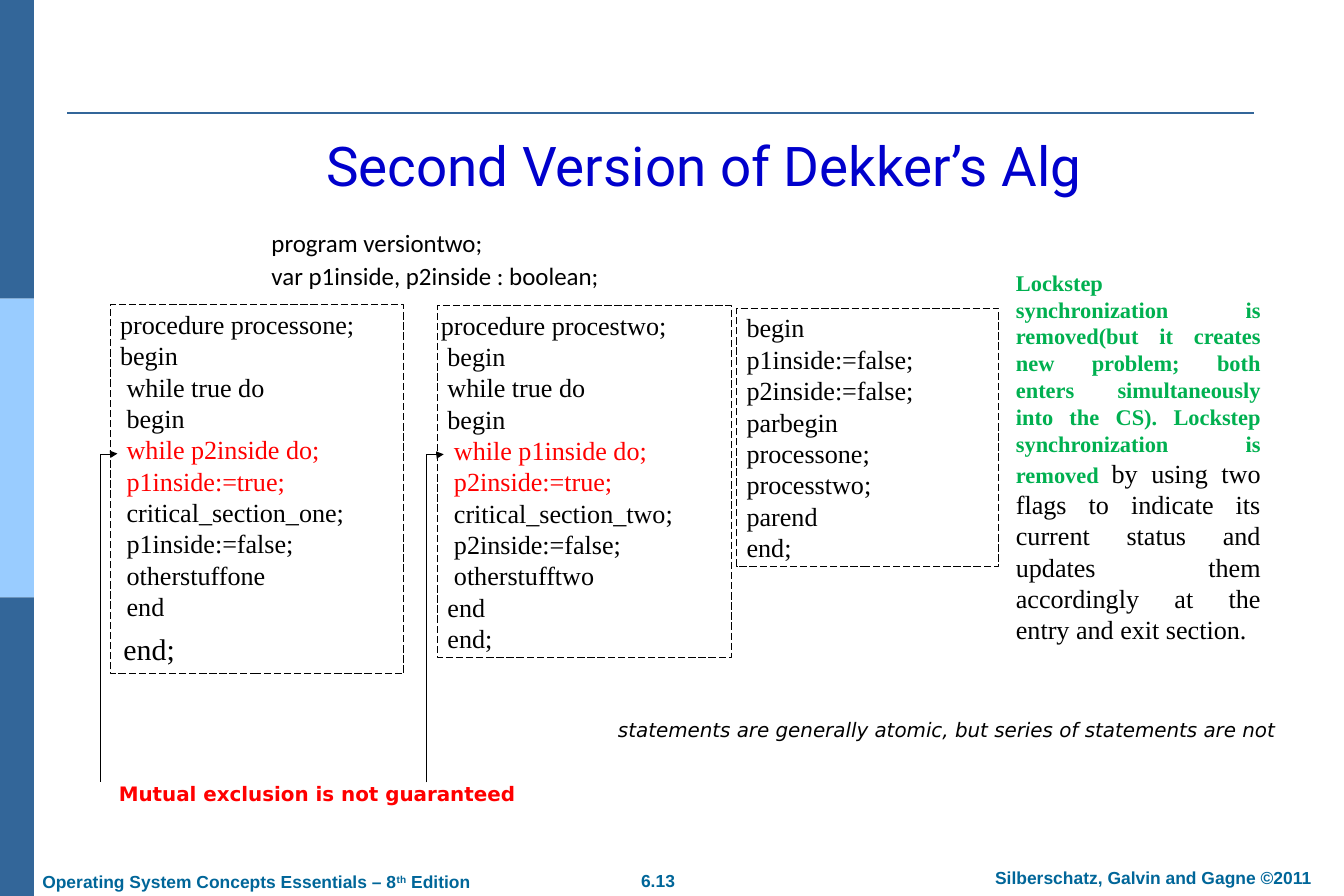
"""Build the slide on the second version of Dekker's algorithm."""
from dataclasses import dataclass

from lxml.etree import SubElement
from pptx import Presentation
from pptx.dml.color import RGBColor
from pptx.enum.dml import MSO_LINE
from pptx.enum.shapes import MSO_CONNECTOR, MSO_SHAPE
from pptx.enum.text import MSO_ANCHOR, PP_ALIGN
from pptx.oxml.ns import qn
from pptx.util import Cm, Pt


@dataclass(frozen=True)
class Theme:
    """Hold the colours and the text styles: face, size, colour, bold, italic."""
    dark: str = "336699"
    light: str = "99CCFF"
    black: str = "000000"
    red: str = "FF0000"
    title: tuple = ("Roboto", 44, "0000CC", False, False)
    head: tuple = ("Calibri", 20, "000000", False, False)
    code: tuple = ("Times New Roman", 21, "000000", False, False)
    alert: tuple = ("Times New Roman", 21, "FF0000", False, False)
    close: tuple = ("Times New Roman", 24, "000000", False, False)
    key: tuple = ("Times New Roman", 18, "00B050", True, False)
    claim: tuple = ("DejaVu Sans", 16, "FF0000", True, False)
    hint: tuple = ("DejaVu Sans", 16, "000000", False, True)
    foot: tuple = ("Arial", 14, "006699", True, False)


def style(run, look):
    """Give a run its face, size, colour and weight."""
    font = run.font
    font.name, size, tint, font.bold, font.italic = look
    font.size = Pt(size)
    font.color.rgb = RGBColor.from_string(tint)


def write(shape, text, look, side, edge, align=PP_ALIGN.LEFT):
    """Set the text of a shape, turning leading spaces into indents."""
    frame = shape.text_frame
    frame.word_wrap = True
    frame.vertical_anchor = MSO_ANCHOR.TOP
    frame.margin_left = frame.margin_right = Cm(side)
    frame.margin_top = frame.margin_bottom = Cm(edge)
    lines = text.split("\n")
    frame.text = "\n".join(line.lstrip() for line in lines)
    for para, line in zip(frame.paragraphs, lines):
        depth = len(line) - len(line.lstrip())
        para._p.get_or_add_pPr().set("marL", str(Pt(look[1] * depth / 4)))
        para.alignment = align
        style(para.runs[0], look)
    return frame


theme = Theme()
deck = Presentation()
deck.slide_width, deck.slide_height = Cm(38.1), Cm(25.4)
slide = deck.slides.add_slide(deck.slide_layouts[6])
shapes = slide.shapes

band = 25.4 / 3
for row, tint in enumerate((theme.dark, theme.light, theme.dark)):
    bar = shapes.add_shape(MSO_SHAPE.RECTANGLE, 0, Cm(row * band), Cm(0.96), Cm(band))
    bar.shadow.inherit = False
    bar.fill.solid()
    bar.fill.fore_color.rgb = RGBColor.from_string(tint)
    bar.line.fill.background()

rule = shapes.add_connector(MSO_CONNECTOR.STRAIGHT, Cm(1.9), Cm(3.2), Cm(35.56), Cm(3.2))
rule.line.color.rgb = RGBColor.from_string(theme.dark)
rule.line.width = Pt(1.5)
SubElement(rule._element.spPr, qn("a:effectLst"))

feet = (
    (16.89, 24.49, 3.53, "6.13", PP_ALIGN.CENTER),
    (27.3, 24.41, 10.8, "Silberschatz, Galvin and Gagne ©2011", PP_ALIGN.CENTER),
    (0.84, 24.51, 13.4, "Operating System Concepts Essentials – 8", PP_ALIGN.LEFT),
)
for left, top, width, text, align in feet:
    box = shapes.add_textbox(Cm(left), Cm(top), Cm(width), Cm(0.89))
    frame = write(box, text, theme.foot, 0.36, 0.18, align)
    foot = frame.paragraphs[0]
    foot.space_before = Pt(8.8)
for text, lift in (("th", 30), (" Edition", 0)):
    run = foot.add_run()
    run.text = text
    style(run, theme.foot)
    run.font._element.set("baseline", str(lift * 1000))

box = shapes.add_textbox(Cm(9.25), Cm(3.94), Cm(22.99), Cm(1.68))
frame = write(box, "Second Version of Dekker’s Alg", theme.title, 0, 0)
frame.vertical_anchor = MSO_ANCHOR.MIDDLE
frame.paragraphs[0].line_spacing = 0.9

box = shapes.add_textbox(Cm(7.42), Cm(6.53), Cm(16.43), Cm(2.08))
frame = write(box, " program versiontwo;\n var p1inside, p2inside : boolean;", theme.head, 0.1, 0.1)
for para, gap in zip(frame.paragraphs, (10, 7)):
    para.line_spacing = 0.8
    para.space_before = Pt(gap)

first = """ procedure processone;
 begin
  while true do
  begin
  while p2inside do;
  p1inside:=true;
  critical_section_one;
  p1inside:=false;
  otherstuffone
  end
 end;"""
second = """procedure procestwo;
 begin
 while true do
 begin
  while p1inside do;
  p2inside:=true;
  critical_section_two;
  p2inside:=false;
  otherstufftwo
 end
 end;"""
main = """ begin
 p1inside:=false;
 p2inside:=false;
 parbegin
 processone;
 processtwo;
 parend
 end;"""
blocks = (
    (3.12, 8.64, 8.33, 10.46, first),
    (12.4, 8.66, 8.33, 9.98, second),
    (20.88, 8.74, 7.44, 7.32, main),
)
frames = []
for left, top, width, height, text in blocks:
    box = shapes.add_shape(MSO_SHAPE.RECTANGLE, Cm(left), Cm(top), Cm(width), Cm(height))
    box.shadow.inherit = False
    box.fill.background()
    box.line.color.rgb = RGBColor.from_string(theme.black)
    box.line.width = Pt(0.75)
    box.line.dash_style = MSO_LINE.LONG_DASH
    frames.append(write(box, text, theme.code, 0.1, 0.1))
for frame in frames[:2]:
    for para in frame.paragraphs[4:6]:
        style(para.runs[0], theme.alert)
last = frames[0].paragraphs[-1]
last._p.get_or_add_pPr().set("marL", str(Pt(8)))
last.space_before = Pt(7)
style(last.runs[0], theme.close)

notes = (
    (3.12, 22.02, 15.67, "Mutual exclusion is not guaranteed", theme.claim),
    (17.27, 20.22, 20.83, "statements are generally atomic, but series of statements are not", theme.hint),
)
for left, top, width, text, look in notes:
    box = shapes.add_textbox(Cm(left), Cm(top), Cm(width), Cm(0.94))
    write(box, text, look, 0.25, 0.13)

box = shapes.add_textbox(Cm(28.55), Cm(7.49), Cm(7.44), Cm(10.92))
text = (
    "Lockstep synchronization is removed(but it creates new problem; both enters "
    "simultaneously into the CS). Lockstep synchronization is removed "
)
frame = write(box, text, theme.key, 0.25, 0.13, PP_ALIGN.JUSTIFY)
run = frame.paragraphs[0].add_run()
run.text = (
    "by using two flags to indicate its current status and updates them "
    "accordingly at the entry and exit section."
)
style(run, theme.code)

span, reach = 9.3, 0.48
for mid_x, mid_y in ((3.09, 17.51), (12.34, 17.53)):
    loop = shapes.add_connector(
        MSO_CONNECTOR.ELBOW,
        Cm(mid_x + span / 2), Cm(mid_y + reach / 2),
        Cm(mid_x - span / 2), Cm(mid_y - reach / 2),
    )
    loop.line.color.rgb = RGBColor.from_string(theme.black)
    loop.line.width = Pt(0.75)
    props = loop._element.spPr
    props.find(qn("a:xfrm")).set("rot", "5400000")
    bend = props.find(qn("a:prstGeom")).find(qn("a:avLst"))
    SubElement(bend, qn("a:gd"), name="adj1", fmla="val 99800")
    SubElement(props.find(qn("a:ln")), qn("a:tailEnd"), type="triangle")
    SubElement(props, qn("a:effectLst"))

deck.save("out.pptx")
